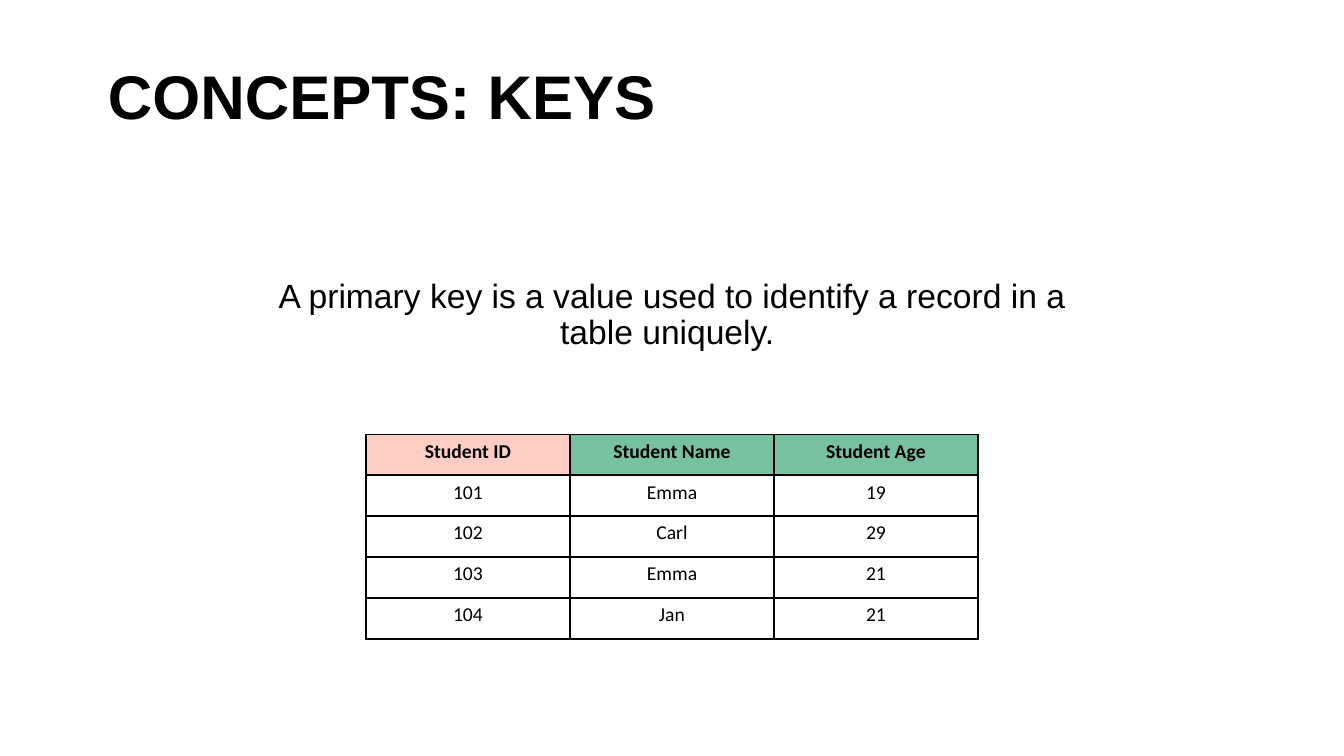
from dataclasses import dataclass

from lxml.etree import SubElement
from pptx import Presentation
from pptx.dml.color import RGBColor
from pptx.enum.text import MSO_ANCHOR, PP_ALIGN
from pptx.oxml.ns import qn
from pptx.slide import Slide
from pptx.table import _Cell
from pptx.text.text import TextFrame
from pptx.util import Inches, Pt

BLACK = RGBColor(0x00, 0x00, 0x00)
WHITE = RGBColor(0xFF, 0xFF, 0xFF)
PINK = RGBColor(0xFF, 0xCD, 0xC4)
GREEN = RGBColor(0x76, 0xC2, 0xA0)

ROWS = [
    ("Student ID", "Student Name", "Student Age"),
    ("101", "Emma", "19"),
    ("102", "Carl", "29"),
    ("103", "Emma", "21"),
    ("104", "Jan", "21"),
]


@dataclass
class Label:
    text: str
    left: float
    top: float
    width: float
    height: float
    size: float
    bold: bool = False
    align: PP_ALIGN = PP_ALIGN.LEFT
    anchor: MSO_ANCHOR = MSO_ANCHOR.TOP


LABELS = [
    Label("CONCEPTS: KEYS", 1.02, 0.54, 6.11, 0.89, 44, bold=True,
          anchor=MSO_ANCHOR.MIDDLE),
    Label("A primary key is a value used to identify a record in a table uniquely. ",
          2.63, 2.72, 8.07, 0.47, 24, align=PP_ALIGN.CENTER),
]


def write(frame: TextFrame, text: str, *, size: float, font: str = "Arial",
          bold: bool = False, align: PP_ALIGN = PP_ALIGN.LEFT,
          spacing: float = 1.0) -> None:
    para = frame.paragraphs[0]
    para.alignment = align
    para.line_spacing = spacing
    run = para.add_run()
    run.text = text
    run.font.name = font
    run.font.size = Pt(size)
    run.font.bold = bold
    run.font.color.rgb = BLACK


def add_label(slide: Slide, label: Label) -> None:
    box = slide.shapes.add_textbox(Inches(label.left), Inches(label.top),
                                   Inches(label.width), Inches(label.height))
    frame = box.text_frame
    frame.word_wrap = True
    frame.vertical_anchor = label.anchor
    frame.margin_left = frame.margin_right = Inches(0.05)
    frame.margin_top = frame.margin_bottom = Inches(0.05)
    write(frame, label.text, size=label.size, bold=label.bold,
          align=label.align, spacing=0.9)


def add_border(cell: _Cell) -> None:
    props = cell._tc.get_or_add_tcPr()
    for place, side in enumerate(("lnL", "lnR", "lnT", "lnB")):
        line = SubElement(props, qn(f"a:{side}"), w=str(Pt(1.5)))
        fill = SubElement(line, qn("a:solidFill"))
        SubElement(fill, qn("a:srgbClr"), val=str(BLACK))
        props.insert(place, line)


def add_grid(slide: Slide) -> None:
    shape = slide.shapes.add_table(len(ROWS), len(ROWS[0]), Inches(3.63),
                                   Inches(4.31), Inches(6.07), Inches(2.03))
    for row, texts in enumerate(ROWS):
        for col, text in enumerate(texts):
            cell = shape.table.cell(row, col)
            head = row == 0
            cell.fill.solid()
            cell.fill.fore_color.rgb = (PINK if col == 0 else GREEN) if head else WHITE
            add_border(cell)
            write(cell.text_frame, text, size=14, font="Calibri", bold=head,
                  align=PP_ALIGN.CENTER)


def main() -> None:
    deck = Presentation()
    deck.slide_width = Inches(13.33)
    deck.slide_height = Inches(7.5)
    slide = deck.slides.add_slide(deck.slide_layouts[6])
    for label in LABELS:
        add_label(slide, label)
    add_grid(slide)
    deck.save("out.pptx")


if __name__ == "__main__":
    main()
